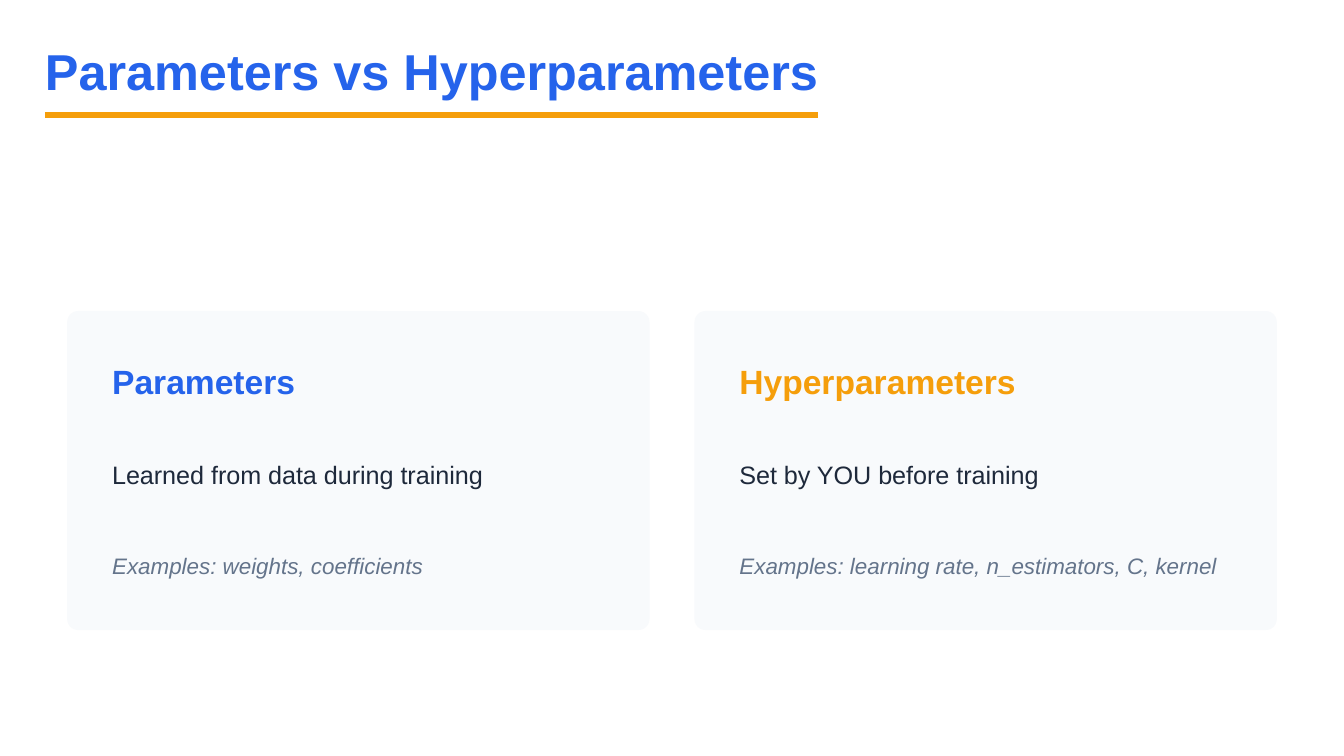
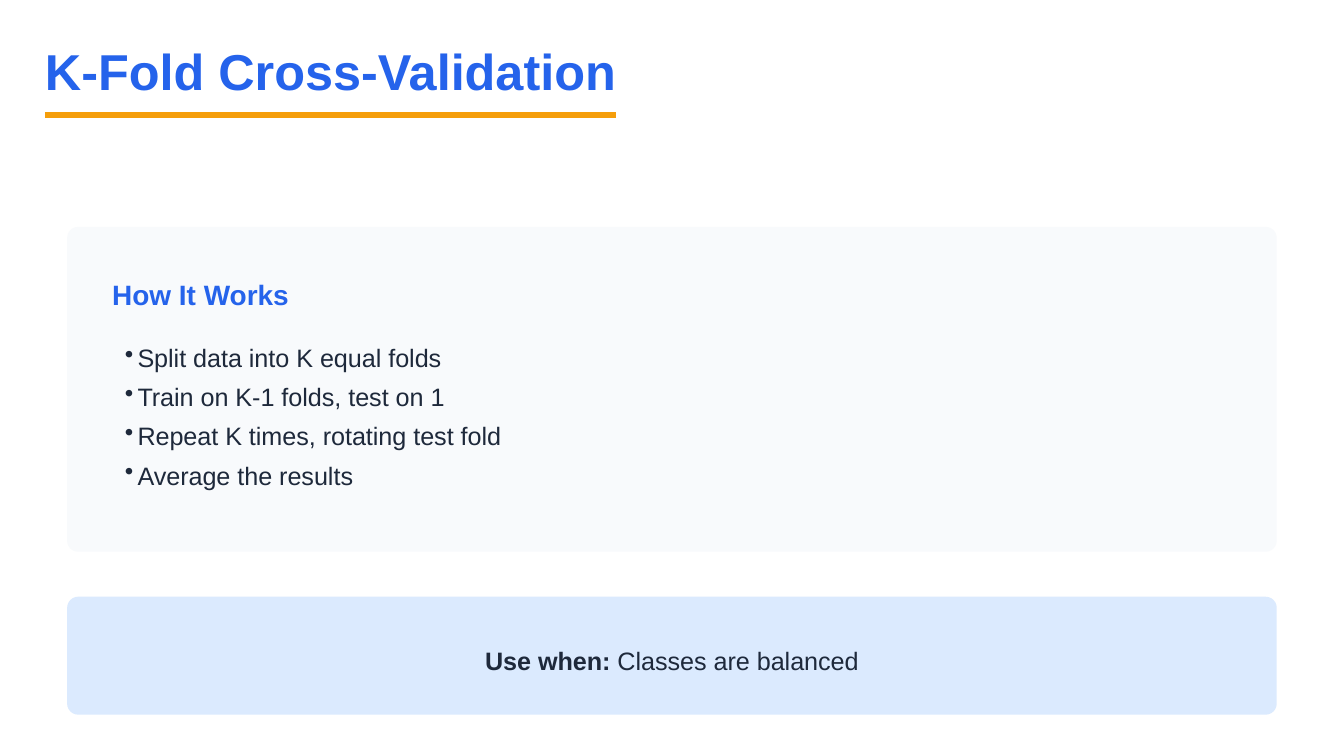
from dataclasses import dataclass

from lxml import etree
from pptx import Presentation, util as u
from pptx.dml import color
from pptx.enum import shapes, text as t
from pptx.oxml import ns

COLORS = {
    "primary": "2563EB",
    "accent": "F59E0B",
    "ink": "1E293B",
    "muted": "64748B",
    "panel": "F8FAFC",
    "callout": "DBEAFE",
}
FONT = "Arial"

# Lengths in centimetres
TITLE_LEFT = 0.85
UNDERLINE_TOP = 2.17
MARGIN = 1.27
CONTENT_WIDTH = 22.86
GAP = 0.85
PADDING = 0.85
CORNER_RADIUS = 0.21
BULLET_INDENT = 0.24


@dataclass(frozen=True)
class Box:
    left: float
    top: float
    width: float
    height: float

    def lengths(self) -> tuple:
        return u.Cm(self.left), u.Cm(self.top), u.Cm(self.width), u.Cm(self.height)


@dataclass(frozen=True)
class ConceptCard:
    heading: str
    heading_color: str
    definition: str
    examples: str


CONCEPTS = [
    ConceptCard("Parameters", "primary", "Learned from data during training",
                "Examples: weights, coefficients"),
    ConceptCard("Hyperparameters", "accent", "Set by YOU before training",
                "Examples: learning rate, n_estimators, C, kernel"),
]
FOLD_STEPS = [
    "Split data into K equal folds",
    "Train on K-1 folds, test on 1",
    "Repeat K times, rotating test fold",
    "Average the results",
]


def rgb(name: str) -> color.RGBColor:
    return color.RGBColor.from_string(COLORS[name])


def add_bullet(paragraph) -> None:
    properties = paragraph._p.get_or_add_pPr()
    indent = u.Cm(BULLET_INDENT)
    properties.set("marL", str(indent))
    properties.set("indent", str(-indent))
    etree.SubElement(properties, ns.qn("a:buChar")).set("char", "•")


def add_text(slide, left: float, top: float, width: float, *lines: str,
             size: float = 13.5, spacing: float = 21, color_name: str = "ink",
             bold: bool = False, italic: bool = False, bullets: bool = False,
             centered: bool = False, lead: str = "") -> None:
    """Add lines of text in a box as tall as they are; lead is a bold opening."""
    height = u.Pt(spacing * len(lines)).cm
    frame = slide.shapes.add_textbox(*Box(left, top, width, height).lengths()).text_frame
    frame.word_wrap = True
    frame.margin_left = u.Cm(BULLET_INDENT if bullets else 0)
    frame.margin_top = frame.margin_right = frame.margin_bottom = 0
    for index, line in enumerate(lines):
        paragraph = frame.add_paragraph() if index else frame.paragraphs[0]
        if bullets:
            add_bullet(paragraph)
        paragraph.line_spacing = u.Pt(spacing)
        paragraph.alignment = t.PP_ALIGN.CENTER if centered else t.PP_ALIGN.LEFT
        for words, is_bold in ((lead, True), (line, bold)):
            if not words:
                continue
            run = paragraph.add_run()
            run.text = words
            run.font.name = FONT
            run.font.size = u.Pt(size)
            run.font.bold = is_bold
            run.font.italic = italic
            run.font.color.rgb = rgb(color_name)


def add_panel(slide, box: Box, fill: str = "panel") -> None:
    shape = slide.shapes.add_shape(shapes.MSO_SHAPE.ROUNDED_RECTANGLE, *box.lengths())
    shape.adjustments[0] = CORNER_RADIUS / min(box.width, box.height)
    shape.shadow.inherit = False
    shape.fill.solid()
    shape.fill.fore_color.rgb = rgb(fill)
    shape.line.fill.background()


def add_titled_slide(presentation, title: str, underline_width: float):
    slide = presentation.slides.add_slide(presentation.slide_layouts[6])
    underline = slide.shapes.add_connector(
        shapes.MSO_CONNECTOR.STRAIGHT, u.Cm(TITLE_LEFT), u.Cm(UNDERLINE_TOP),
        u.Cm(TITLE_LEFT + underline_width), u.Cm(UNDERLINE_TOP))
    underline.line.color.rgb = rgb("accent")
    underline.line.width = u.Pt(3)
    etree.SubElement(underline._element.spPr, ns.qn("a:effectLst"))
    add_text(slide, TITLE_LEFT, 0.85, underline_width * 1.02, title,
             size=27, spacing=30, color_name="primary", bold=True)
    return slide


def add_concept_card(slide, card: ConceptCard, box: Box) -> None:
    add_panel(slide, box)
    left, width = box.left + PADDING, 9.5
    add_text(slide, left, box.top + PADDING, width, card.heading,
             size=18, spacing=24, color_name=card.heading_color, bold=True)
    add_text(slide, left, box.top + 2.63, width, card.definition)
    add_text(slide, left, box.top + 4.43, width, card.examples,
             size=12, spacing=18, color_name="muted", italic=True)


def build_parameters_slide(presentation) -> None:
    slide = add_titled_slide(presentation, "Parameters vs Hyperparameters", 14.61)
    width = (CONTENT_WIDTH - GAP) / len(CONCEPTS)
    for index, card in enumerate(CONCEPTS):
        left = MARGIN + index * (width + GAP)
        add_concept_card(slide, card, Box(left, 5.88, width, 6.03))


def build_cross_validation_slide(presentation) -> None:
    slide = add_titled_slide(presentation, "K-Fold Cross-Validation", 10.79)
    steps = Box(MARGIN, 4.29, CONTENT_WIDTH, 6.14)
    add_panel(slide, steps)
    left, width = steps.left + PADDING, steps.width - 2 * PADDING
    add_text(slide, left, steps.top + PADDING, width, "How It Works",
             size=15, color_name="primary", bold=True)
    add_text(slide, left, steps.top + 2.01, width, *FOLD_STEPS, bullets=True)

    callout = Box(MARGIN, steps.top + steps.height + GAP, CONTENT_WIDTH, 2.23)
    add_panel(slide, callout, "callout")
    add_text(slide, callout.left, callout.top + 0.74, callout.width,
             " Classes are balanced", lead="Use when:", centered=True)


def main() -> None:
    presentation = Presentation()
    presentation.slide_width = u.Cm(25.4)
    presentation.slide_height = u.Cm(14.29)
    build_parameters_slide(presentation)
    build_cross_validation_slide(presentation)
    presentation.save("out.pptx")


if __name__ == "__main__":
    main()
